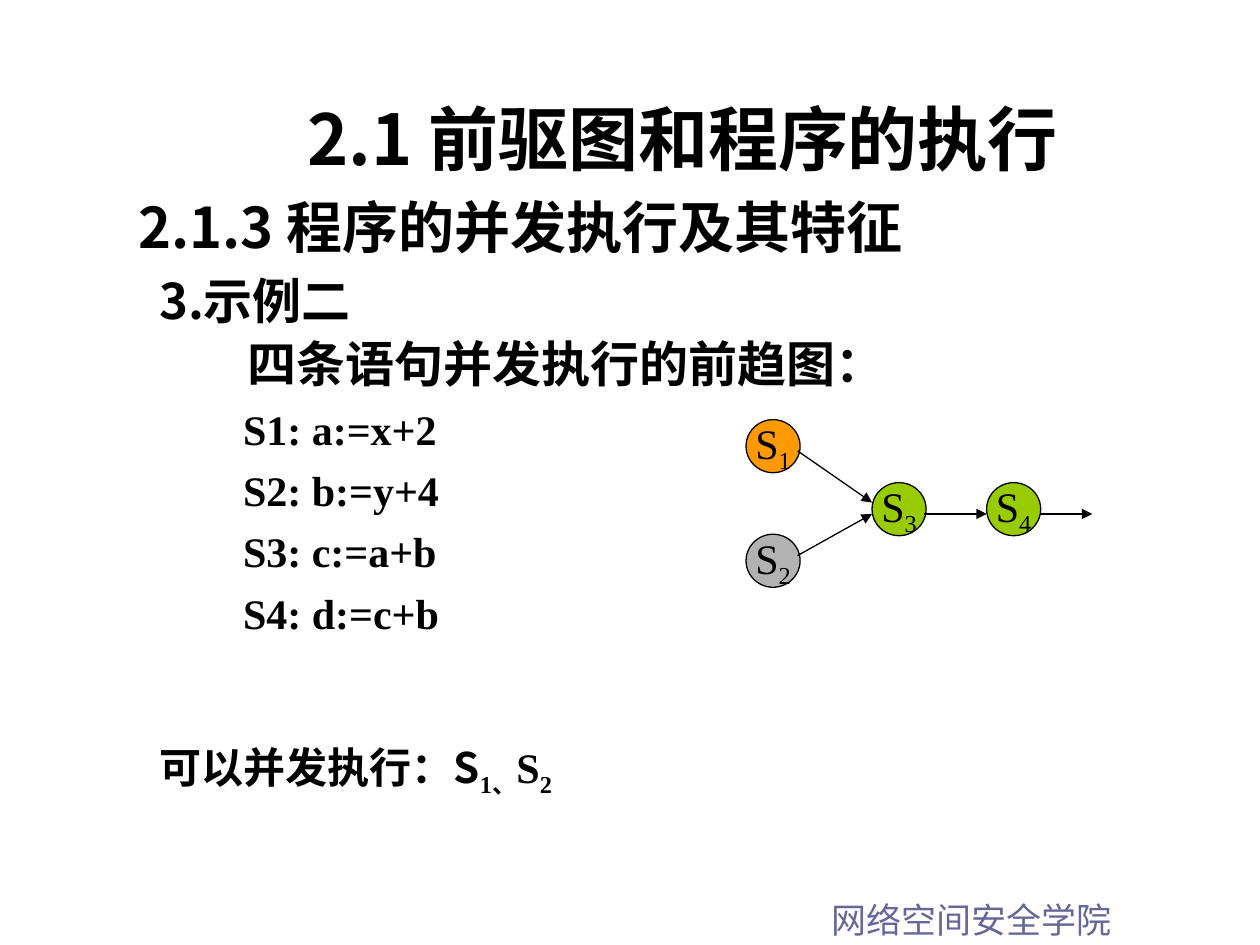
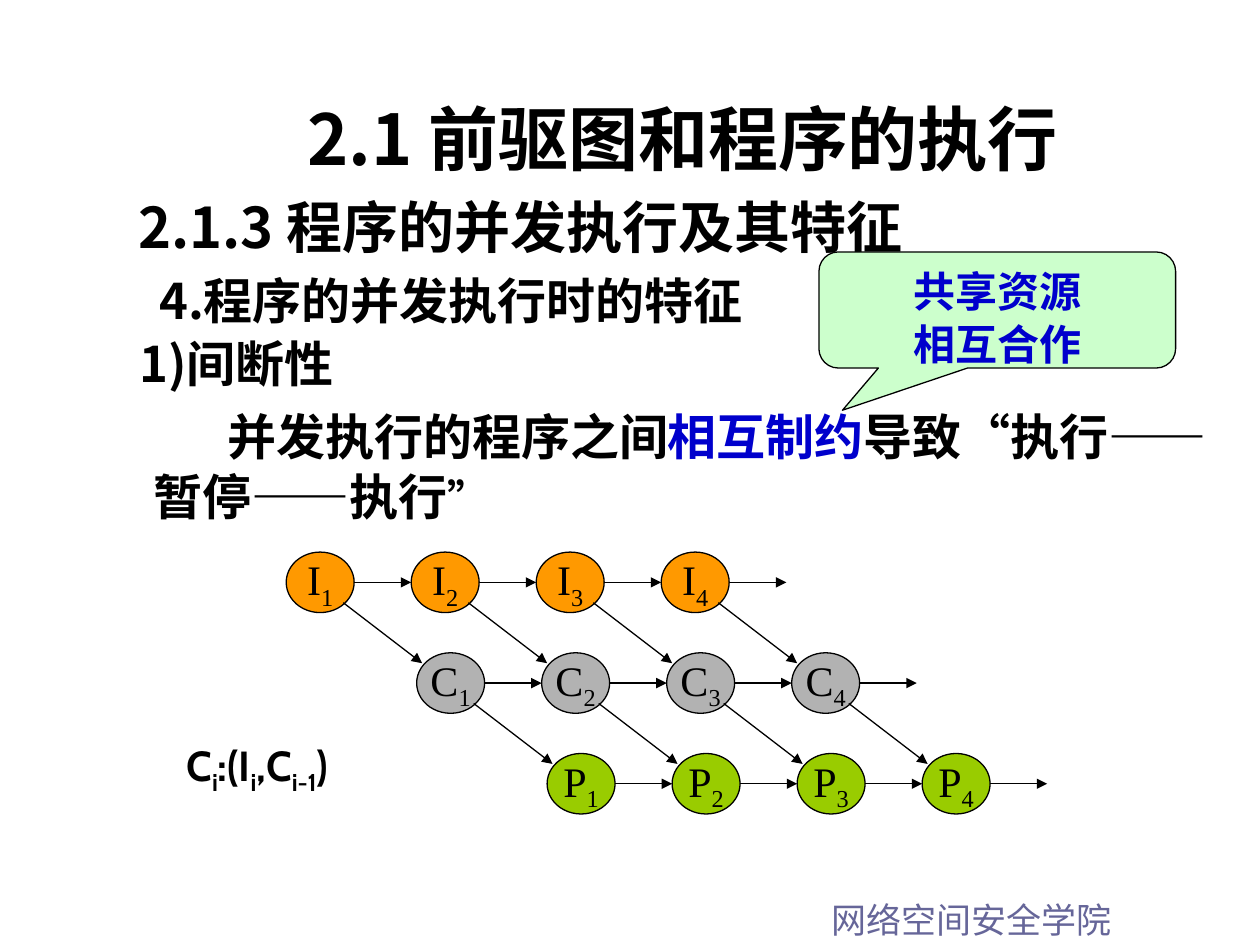
from lxml import etree
from pptx import Presentation
from pptx.dml.color import RGBColor
from pptx.enum.shapes import MSO_CONNECTOR, MSO_SHAPE
from pptx.enum.text import MSO_ANCHOR, PP_ALIGN
from pptx.oxml.ns import qn
from pptx.util import Cm, Pt

OVAL, CALLOUT = MSO_SHAPE.OVAL, MSO_SHAPE.ROUNDED_RECTANGULAR_CALLOUT
STRAIGHT = MSO_CONNECTOR.STRAIGHT
TOP, MIDDLE = MSO_ANCHOR.TOP, MSO_ANCHOR.MIDDLE
LEFT, CENTER = PP_ALIGN.LEFT, PP_ALIGN.CENTER

COLORS = {
    "text": "000000",
    "footer": "666699",
    "accent": "0000CC",
    "orange": "FF9900",
    "grey": "B2B2B2",
    "green": "99CC00",
    "callout": "CCFFCC",
}
SANS, JP, SERIF, CABIN = "Noto Sans CJK SC", "Noto Sans CJK JP", "Times New Roman", "Cabin"


def rgb(name):
    return RGBColor.from_string(COLORS[name])


def add_run(p, text, size, font=SERIF, color="text", bold=True, sub=False):
    r = p.add_run()
    r.text = text
    r.font.size, r.font.bold, r.font.name = Pt(size), bold, font
    r.font.color.rgb = rgb(color)
    rPr = r.font._element
    etree.SubElement(rPr, qn("a:ea")).set("typeface", JP if font == JP else SANS)
    if sub:
        rPr.set("baseline", "-25000")


def add_paragraph(tf, runs, size, height=None, before=0, align=LEFT, margin=0, indent=0, **style):
    """Fill the empty first paragraph or append one; runs are (text, style changes)."""
    p = tf.paragraphs[0] if not tf.paragraphs[0].runs else tf.add_paragraph()
    pPr = p._p.get_or_add_pPr()
    pPr.set("marL", str(Cm(margin)))
    pPr.set("indent", str(Cm(indent)))
    p.alignment = align
    p.space_before = Pt(before)
    if height:
        p.line_spacing = Pt(height)
    for text, changes in runs:
        add_run(p, text, **{"size": size, **style, **changes})


def with_subscripts(*texts):
    """Every second text is a subscript."""
    return [(text, {"sub": i % 2 == 1}) for i, text in enumerate(texts)]


def place(sp, x, y, w, h):
    sp.left, sp.top, sp.width, sp.height = Cm(x), Cm(y), Cm(w), Cm(h)


def add_text(s, x, y, w, h, wrap=True):
    tf = s.shapes.add_textbox(Cm(x), Cm(y), Cm(w), Cm(h)).text_frame
    tf.word_wrap = wrap
    return tf


def add_shape(s, kind, x, y, w, h, fill):
    sp = s.shapes.add_shape(kind, Cm(x), Cm(y), Cm(w), Cm(h))
    sp.shadow.inherit = False
    sp.fill.solid()
    sp.fill.fore_color.rgb = rgb(fill)
    sp.line.color.rgb = rgb("text")
    sp.line.width = Pt(0.75)
    return sp


def add_node(s, letter, index, x, y, w, h, fill):
    tf = add_shape(s, OVAL, x, y, w, h, fill).text_frame
    tf.word_wrap = False
    tf.vertical_anchor = MIDDLE
    add_paragraph(tf, with_subscripts(letter, str(index)), 24, align=CENTER, bold=False)


def add_arrow(s, x1, y1, x2, y2):
    c = s.shapes.add_connector(STRAIGHT, Cm(x1), Cm(y1), Cm(x2), Cm(y2))
    c.line.color.rgb = rgb("text")
    c.line.width = Pt(0.75)
    spPr = c.element.spPr
    etree.SubElement(spPr.find(qn("a:ln")), qn("a:tailEnd")).set("type", "triangle")
    etree.SubElement(spPr, qn("a:effectLst"))


def add_footer(s, layout):
    """Write the footer once and move it to the layout, so that all slides show it."""
    box = s.shapes.add_textbox(Cm(16.51), Cm(17.96), Cm(8.89), Cm(1.12))
    box.text_frame.word_wrap = True
    add_paragraph(box.text_frame, [("网络空间安全学院", {})], 20, 25,
                  font=JP, color="footer", bold=False)
    layout.shapes.element.append(box.element)


def add_section_slide(prs, number, topic):
    s = prs.slides.add_slide(prs.slide_layouts[5])
    title = s.shapes.title
    place(title, 3.6, 1.7, 20.32, 1.96)
    title.text_frame.vertical_anchor = TOP
    add_paragraph(title.text_frame, [("2.1 前驱图和程序的执行", {})], 40, 51,
                  align=CENTER, font=JP)
    tf = add_text(s, 2.54, 3.38, 21.8, 3.3)
    add_paragraph(tf, [("2.1.3 ", {"font": SANS}), ("程序的并发执行及其特征", {})], 32, 49)
    add_paragraph(tf, [(number, {"font": SANS}), (topic, {})], 28, 40, margin=0.42)
    return s


def add_statements(s):
    tf = add_text(s, 2.11, 6.55, 22.22, 7.19)
    add_paragraph(tf, [("四条语句并发执行的前趋图：", {})], 28, 35, margin=2.64)
    for statement in ("S1: a:=x+2", "S2: b:=y+4", "S3: c:=a+b", "S4: d:=c+b"):
        add_paragraph(tf, [(statement, {})], 24, 28, before=7, margin=2.54)
    tf = add_text(s, 2.97, 14.81, 20.52, 1.42)
    runs = [("可以并发执行：", {}), ("S", {"font": SANS})]
    add_paragraph(tf, runs + with_subscripts("", "1、", "S", "2")[1:], 24, 33)


def add_statement_graph(s):
    nodes = [(15.04, 8.46, "orange"), (15.04, 10.77, "grey"),
             (17.58, 9.73, "green"), (19.89, 9.73, "green")]
    for i, (x, y, fill) in enumerate(nodes, 1):
        add_node(s, "S", i, x, y, 1.09, 1.07, fill)
    for ends in [(16.08, 9.09, 17.58, 10.13), (16.08, 11.2, 17.58, 10.36),
                 (18.62, 10.36, 19.89, 10.36), (20.96, 10.36, 22.02, 10.36)]:
        add_arrow(s, *ends)


def add_intermittence(s):
    tf = add_text(s, 1.9, 6.55, 23.06, 4.01)
    add_paragraph(tf, [("1)间断性", {})], 28, 35, margin=0.66, font=SANS)
    add_paragraph(tf, [("并发执行的程序之间", {}), ("相互制约", {"color": "accent"}),
                       ("导致“执行——暂停——执行", {}), ("”", {"size": 24})],
                  28, 34, before=8, margin=0.95, indent=1.49)


def add_callout(s):
    sp = add_shape(s, CALLOUT, 16.51, 5.08, 7.19, 2.34, "callout")
    for i, value in enumerate((-0.434, 0.864, 0.167)):
        sp.adjustments[i] = value
    tf = sp.text_frame
    tf.word_wrap = True
    tf.vertical_anchor = TOP
    for line in ("共享资源", "相互合作"):
        add_paragraph(tf, [(line, {})], 24, 30, align=CENTER, font=CABIN, color="accent")


def add_pipeline(s):
    """Rows of input, compute and print steps, each row shifted to the right."""
    w, h, step, row_dx, row_dy = 1.37, 1.22, 2.52, 2.63, 2.03
    rows = [("I", "orange"), ("C", "grey"), ("P", "green")]
    for row, (letter, fill) in enumerate(rows):
        y = 11.13 + row * row_dy
        for col in range(4):
            x = 5.77 + row * row_dx + col * step
            add_node(s, letter, col + 1, x, y, w, h, fill)
            add_arrow(s, x + w, y + h / 2, x + step, y + h / 2)
            if row < len(rows) - 1:
                add_arrow(s, x + 1.15, y + 1.02, x + 2.74, y + 2.24)


def main():
    prs = Presentation()
    prs.slide_width, prs.slide_height = Cm(25.4), Cm(19.05)

    s = add_section_slide(prs, "3.", "示例二")
    add_footer(s, prs.slide_layouts[5])
    add_statements(s)
    add_statement_graph(s)

    s = add_section_slide(prs, "4.", "程序的并发执行时的特征")
    add_intermittence(s)
    add_callout(s)
    add_pipeline(s)
    tf = add_text(s, 3.51, 14.78, 3.86, 1.42, wrap=False)
    add_paragraph(tf, with_subscripts("C", "i", ":(I", "i", ",C", "i-1", ")"), 24, font=CABIN)

    prs.save("out.pptx")


if __name__ == "__main__":
    main()
